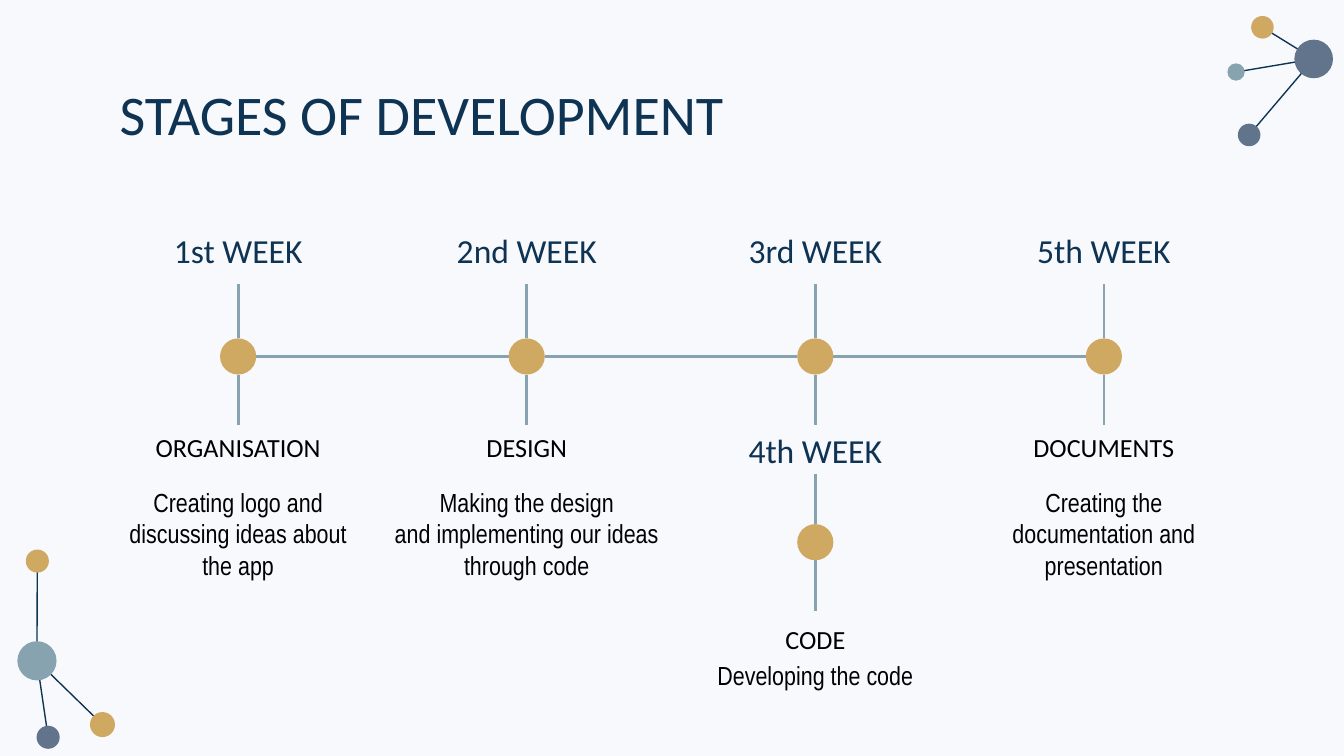
from dataclasses import dataclass

from lxml import etree
from pptx import Presentation
from pptx.dml.color import RGBColor
from pptx.enum import shapes, text
from pptx.oxml import ns
from pptx.util import Pt


@dataclass(frozen=True)
class Theme:
    paper: str = "F7F9FC"
    navy: str = "0E3353"
    slate: str = "62748B"
    teal: str = "87A3AF"
    gold: str = "CFA861"
    black: str = "000000"
    display: str = "Calibri"
    body: str = "Arial Narrow"
    title_size: float = 30
    week_size: float = 18
    text_size: float = 14
    stem: float = 1.5
    link: float = 0.75


THEME = Theme()
COLUMNS = [127.6 + 154.6 * index for index in range(4)]
AXIS, LOWER_DOT = 191, 290.5
RADIUS = 9.7
WEEK_TOP, WEEK_WIDTH, WEEK_HEIGHT = 124.6, 142.6, 27.4
HEADING_TOP, BODY_TOP = 227.5, 257
TITLE = "STAGES OF DEVELOPMENT"
WEEKS = ["1st WEEK", "2nd WEEK", "3rd WEEK", "5th WEEK"]
STAGES = [
    (0, "ORGANISATION", 107.3, HEADING_TOP, BODY_TOP, 134.6,
     ["Creating logo and discussing ideas about the app"]),
    (1, "DESIGN", 59, HEADING_TOP, BODY_TOP, 160.6,
     ["Making the design", "and implementing our ideas through code"]),
    (2, "CODE", 46.8, 330.5, 350, 128.9, ["Developing the code"]),
    (3, "DOCUMENTS", 90.7, HEADING_TOP, BODY_TOP, 115.2,
     ["Creating the documentation and presentation"]),
]
CLUSTERS = [
    ((19.8, 354, 21, THEME.teal),
     [(20, 300.6, 12.4, THEME.gold), (54.9, 388.2, 13.4, THEME.gold),
      (25.8, 395, 12.4, THEME.slate)]),
    ((703.8, 31.6, 20.7, THEME.slate),
     [(676.3, 14.6, 12.1, THEME.gold), (662.2, 38.6, 9.3, THEME.teal),
      (669.2, 72.3, 12.1, THEME.slate)]),
]


def color(value):
    return RGBColor.from_string(value)


def write(para, wording, size, font, ink):
    span = para.add_run()
    span.text = wording
    span.font.size = Pt(size)
    span.font.name = font
    span.font.color.rgb = color(ink)


def add_text(slide, center, top, width, height, lines, size, font, ink, wrap=True):
    box = slide.shapes.add_textbox(Pt(center - width / 2), Pt(top), Pt(width), Pt(height))
    frame = box.text_frame
    frame.word_wrap = wrap
    for index, line in enumerate(lines):
        para = frame.add_paragraph() if index else frame.paragraphs[0]
        para.alignment = text.PP_ALIGN.CENTER
        write(para, line, size, font, ink)
    return box


def add_week(slide, center, top, wording):
    box = add_text(slide, center, top, WEEK_WIDTH, WEEK_HEIGHT, [wording],
                   THEME.week_size, THEME.display, THEME.navy)
    frame = box.text_frame
    frame.margin_top = frame.margin_bottom = Pt(7.2)
    frame.vertical_anchor = text.MSO_ANCHOR.BOTTOM
    return box


def add_dot(parent, x, y, diameter, fill):
    dot = parent.shapes.add_shape(
        shapes.MSO_SHAPE.OVAL, Pt(x - diameter / 2), Pt(y - diameter / 2),
        Pt(diameter), Pt(diameter))
    dot.shadow.inherit = False
    dot.fill.solid()
    dot.fill.fore_color.rgb = color(fill)
    dot.line.fill.background()


def add_line(parent, start, end, ink=THEME.teal, width=THEME.stem):
    line = parent.shapes.add_connector(
        shapes.MSO_CONNECTOR.STRAIGHT, *(Pt(value) for value in (*start, *end)))
    line.line.color.rgb = color(ink)
    line.line.width = Pt(width)
    etree.SubElement(line._element.spPr, ns.qn("a:effectLst"))
    return line


def add_cluster(slide, hub, satellites):
    group = slide.shapes.add_group_shape()
    for satellite in satellites:
        add_line(group, hub[:2], satellite[:2], THEME.navy, THEME.link)
    for circle in (hub, *satellites):
        add_dot(group, *circle)


def add_title(slide):
    title = slide.shapes.title
    title.left, title.top, title.width, title.height = Pt(56.9), Pt(35.3), Pt(607), Pt(45.4)
    frame = title.text_frame
    frame.auto_size = text.MSO_AUTO_SIZE.NONE
    frame.vertical_anchor = text.MSO_ANCHOR.TOP
    frame.margin_left = frame.margin_right = Pt(7.2)
    frame.margin_top = frame.margin_bottom = Pt(7.2)
    para = frame.paragraphs[0]
    para.alignment = text.PP_ALIGN.LEFT
    write(para, TITLE, THEME.title_size, THEME.display, THEME.navy)


def add_timeline(slide):
    for left, right in zip(COLUMNS, COLUMNS[1:]):
        add_line(slide, (left + RADIUS, AXIS), (right - RADIUS, AXIS))
    stems = []
    for center, wording in zip(COLUMNS, WEEKS):
        week = add_week(slide, center, WEEK_TOP, wording)
        upper = add_line(slide, (center, AXIS - RADIUS), (center, WEEK_TOP + WEEK_HEIGHT))
        upper.end_connect(week, 2)
        stems.append(add_line(slide, (center, AXIS + RADIUS), (center, HEADING_TOP)))
        add_dot(slide, center, AXIS, 2 * RADIUS, THEME.gold)
    branch = COLUMNS[2]
    add_week(slide, branch, 231.8, "4th WEEK")
    add_line(slide, (branch, 254.2), (branch, LOWER_DOT - RADIUS))
    add_line(slide, (branch, LOWER_DOT + RADIUS), (branch, 327.6))
    add_dot(slide, branch, LOWER_DOT, 2 * RADIUS, THEME.gold)
    return stems


def add_stages(slide, stems):
    for column, heading, width, top, body_top, body_width, lines in STAGES:
        center = COLUMNS[column]
        box = add_text(slide, center, top, width, 24.2, [heading],
                       THEME.text_size, THEME.display, THEME.black, wrap=False)
        if top == HEADING_TOP:
            stems[column].end_connect(box, 0)
        height = 41 if body_top > BODY_TOP else 66
        add_text(slide, center, body_top, body_width, height, lines,
                 THEME.text_size, THEME.body, THEME.black)


def main():
    deck = Presentation()
    deck.slide_width, deck.slide_height = Pt(720), Pt(405)
    slide = deck.slides.add_slide(deck.slide_layouts[5])
    slide.background.fill.solid()
    slide.background.fill.fore_color.rgb = color(THEME.paper)
    for hub, satellites in CLUSTERS:
        add_cluster(slide, hub, satellites)
    add_title(slide)
    stems = add_timeline(slide)
    add_stages(slide, stems)
    deck.save("out.pptx")


if __name__ == "__main__":
    main()
